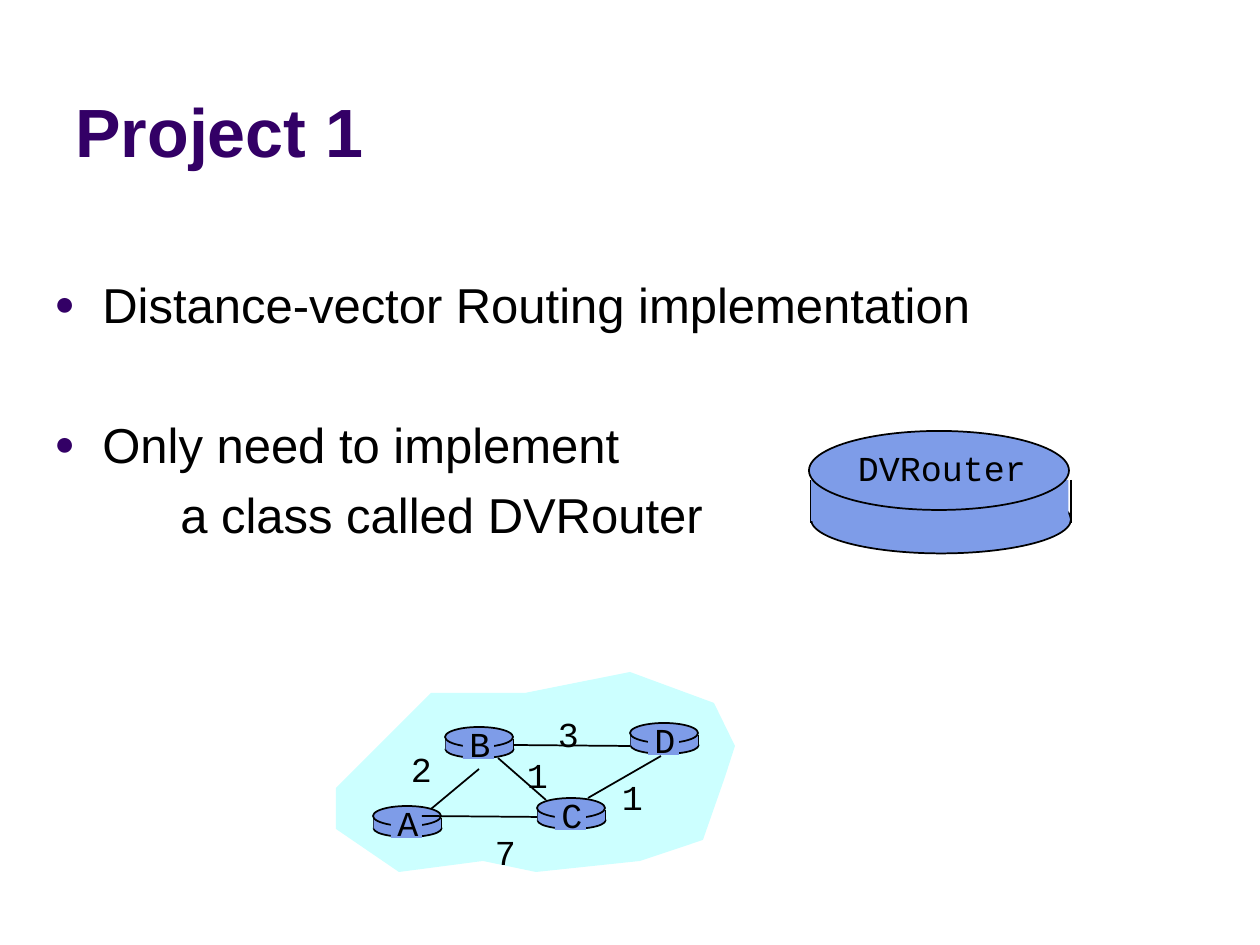
"""Build the Project 1 slide with its router network."""
import dataclasses

import pptx
import pptx.dml.color
import pptx.enum.shapes
import pptx.enum.text
import pptx.oxml
import pptx.oxml.ns
import pptx.util

SCALE = 914400 / 126
KIND = pptx.enum.shapes.MSO_SHAPE


@dataclasses.dataclass(frozen=True)
class Theme:
    title: str = "330066"
    ink: str = "000000"
    router: str = "7E9CE8"
    cloud: str = "CCFFFF"
    sans: str = "Arial"
    mono: str = "Courier New"
    head: int = 39
    body: int = 28
    label: int = 20
    line: int = 1


THEME = Theme()


def emu(size):
    return pptx.util.Emu(round(size * SCALE))


def color(code):
    return pptx.dml.color.RGBColor.from_string(code)


def add_node(parent, tag, **attrs):
    node = pptx.oxml.parse_xml(f"<{tag} {pptx.oxml.ns.nsdecls('a')}/>")
    for name, value in attrs.items():
        node.set(name, value)
    parent.append(node)
    return node


def style(font, face, size, code, bold=False):
    font.name, font.size, font.bold = face, pptx.util.Pt(size), bold
    font.color.rgb = color(code)


def paint(shape, fill, edge=None):
    shape.shadow.inherit = False
    shape.fill.solid()
    shape.fill.fore_color.rgb = color(fill)
    if edge:
        shape.line.color.rgb = color(edge)
        shape.line.width = pptx.util.Pt(THEME.line)
    else:
        shape.line.fill.background()


def add_form(shapes, kind, box, edge=None):
    paint(shapes.add_shape(kind, *map(emu, box)), THEME.router, edge)


def add_line(shapes, *ends):
    line = shapes.add_connector(
        pptx.enum.shapes.MSO_CONNECTOR.STRAIGHT, *map(emu, ends))
    line.line.color.rgb = color(THEME.ink)
    line.line.width = pptx.util.Pt(THEME.line)
    add_node(line._element.spPr, "a:effectLst")


def add_label(shapes, text, mid, top, width=43):
    box = shapes.add_textbox(*map(emu, (mid - width / 2, top, width, 52)))
    box.text_frame.word_wrap = False
    para = box.text_frame.paragraphs[0]
    para.text = text
    para.alignment = pptx.enum.text.PP_ALIGN.CENTER
    style(para.font, THEME.mono, THEME.label, THEME.ink)


def add_drum(shapes, x, y, w, h):
    left, right = x + w / 130, x + w + w / 130
    top, low = y + 0.62 * h, y + 1.16 * h
    add_form(shapes, KIND.OVAL, (left, y + 0.69 * h, w, 0.86 * h), THEME.ink)
    for side in (left, right):
        add_line(shapes, side, top, side, low)
    add_form(shapes, KIND.RECTANGLE, (left, top, 0.99 * w, 0.52 * h))
    add_form(shapes, KIND.OVAL, (x, y, w, h), THEME.ink)


def add_router(slide, name, x, y):
    shapes = slide.shapes.add_group_shape().shapes
    add_drum(shapes, x, y, 68, 20)
    add_form(shapes, KIND.RECTANGLE, (x + 18, y + 3, 31, 29))
    add_label(shapes, name, x + 35, y - 11, 50)


def add_cloud(slide):
    points = [(336, 829), (336, 788), (378, 746), (431, 693), (525, 693),
              (630, 672), (714, 703), (735, 746), (725, 777), (703, 840),
              (640, 861), (536, 872), (483, 861), (399, 872)]
    form = slide.shapes.build_freeform(*points[0], scale=SCALE)
    form.add_line_segments(points[1:], close=True)
    paint(form.convert_to_shape(), THEME.cloud)


def add_title(slide):
    box = slide.shapes.add_textbox(*map(emu, (63, 16, 1134, 161)))
    frame = box.text_frame
    frame.word_wrap = True
    frame.vertical_anchor = pptx.enum.text.MSO_ANCHOR.BOTTOM
    frame.text = "Project 1"
    style(frame.paragraphs[0].font, THEME.sans, THEME.head, THEME.title, True)


def add_bullet(para):
    props = para._p.get_or_add_pPr()
    tint = add_node(props, "a:buClr")
    add_node(tint, "a:srgbClr", val=THEME.title)
    add_node(props, "a:buSzPct", val="70000")
    add_node(props, "a:buFont", typeface=THEME.sans)
    add_node(props, "a:buChar", char="●")


def add_body(slide):
    rows = [("Distance-vector Routing implementation", 0, True),
            ("Only need to implement", 46.5, True),
            ("a class called DVRouter", 6.7, False)]
    box = slide.shapes.add_textbox(*map(emu, (42, 268, 1197, 602)))
    frame = box.text_frame
    frame.word_wrap = True
    for spot, (text, gap, dot) in enumerate(rows):
        para = frame.add_paragraph() if spot else frame.paragraphs[0]
        para.text = text
        para.space_before = pptx.util.Pt(gap)
        props = para._p.get_or_add_pPr()
        props.set("marL", str(emu(48 if dot else 126)))
        props.set("indent", str(emu(-48 if dot else 0)))
        if dot:
            add_bullet(para)
        style(para.font, THEME.sans, THEME.body, THEME.ink)


def add_graph(slide):
    add_cloud(slide)
    add_router(slide, "A", 373, 806)
    for ends in [(431, 809, 479, 769), (498, 758, 546, 800),
                 (541, 817, 422, 816), (630, 746, 512, 745),
                 (588, 798, 661, 756)]:
        add_line(slide.shapes, *ends)
    for name, x, y in [("C", 537, 798), ("B", 445, 727), ("D", 630, 723)]:
        add_router(slide, name, x, y)
    for cost, mid, top in [("1", 536, 747), ("2", 420, 741), ("7", 504, 824),
                           ("3", 567, 706), ("1", 631, 769)]:
        add_label(slide.shapes, cost, mid, top)


def main():
    deck = pptx.Presentation()
    deck.slide_width, deck.slide_height = emu(1260), emu(945)
    slide = deck.slides.add_slide(deck.slide_layouts[6])
    add_title(slide)
    add_body(slide)
    add_graph(slide)
    group = slide.shapes.add_group_shape().shapes
    add_drum(group, 809, 431, 260, 79)
    add_label(group, "DVRouter", 942, 440, 195)
    deck.save("out.pptx")


main()
